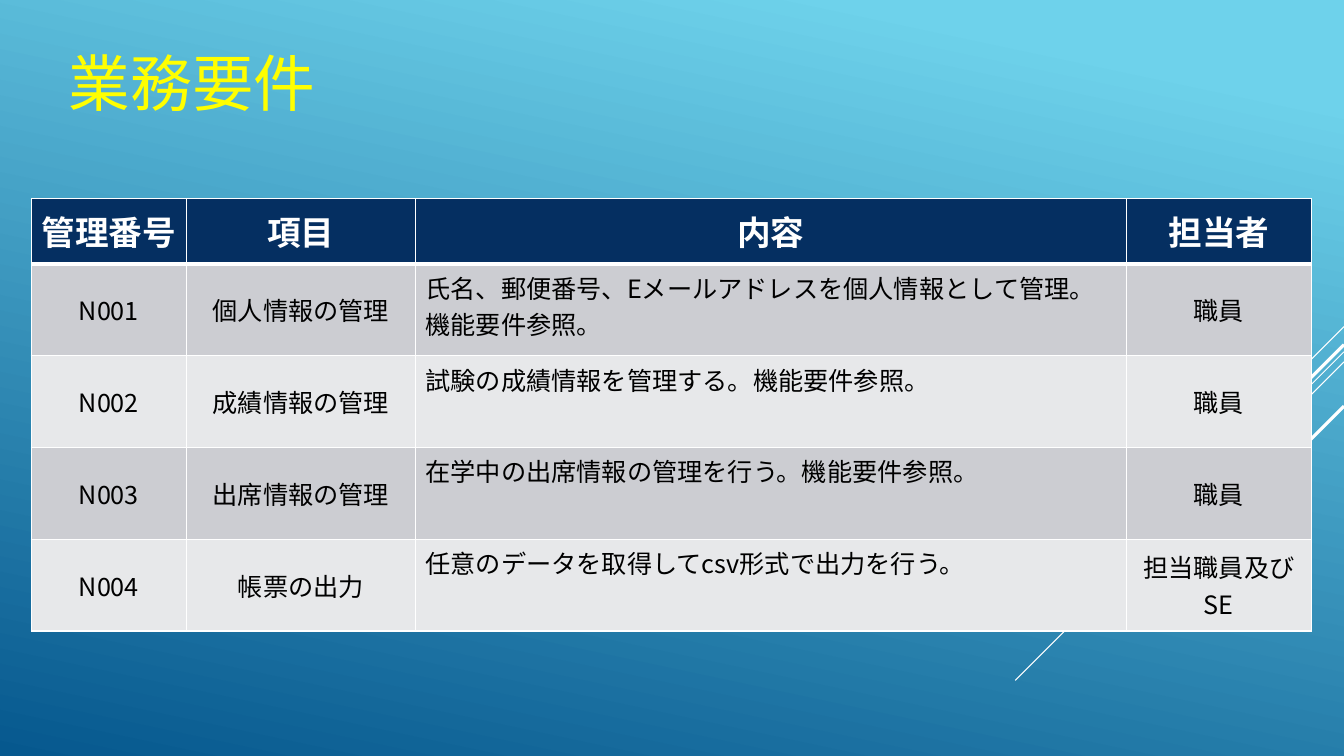
import pptx
import pptx.dml.color
import pptx.enum.shapes
import pptx.enum.text
import pptx.oxml
import pptx.oxml.ns
import pptx.util

RGBColor = pptx.dml.color.RGBColor
WHITE = RGBColor(0xFF, 0xFF, 0xFF)
BLACK = RGBColor(0x00, 0x00, 0x00)
YELLOW = RGBColor(0xFF, 0xFF, 0x00)
SKY = RGBColor(0x6E, 0xD2, 0xEB)
OCEAN = RGBColor(0x06, 0x58, 0x8E)
NAVY = RGBColor(0x05, 0x2F, 0x61)
BANDS = (RGBColor(0xCC, 0xCD, 0xD2), RGBColor(0xE7, 0xE8, 0xEA))

JAPANESE_FONT = "Noto Sans CJK JP"
HEADER_FONT = "TeX Gyre Adventor"
WIDTH, HEIGHT = pptx.util.Inches(13.33), pptx.util.Inches(7.5)
CENTER = pptx.enum.text.PP_ALIGN.CENTER
LEFT = pptx.enum.text.PP_ALIGN.LEFT
MIDDLE = pptx.enum.text.MSO_ANCHOR.MIDDLE
TOP = pptx.enum.text.MSO_ANCHOR.TOP

# Each ray falls at 45 degrees from the right edge: start height, run, weight
RAYS = ((3.24, 1, 0.75), (3.49, 3.26, 0.75), (3.59, 2.07, 0.75),
        (3.42, 1.91, 2.25), (4.03, 1.39, 2.25))

COLUMN_WIDTHS = (1.54, 2.27, 7.05, 1.84)
HEADER_HEIGHT, ROW_HEIGHT = 0.65, 0.91
CONTENT_COLUMN = 2
REQUIREMENTS = (
    ("管理番号", "項目", "内容", "担当者"),
    ("N001", "個人情報の管理",
     "氏名、郵便番号、Eメールアドレスを個人情報として管理。\n機能要件参照。", "職員"),
    ("N002", "成績情報の管理", "試験の成績情報を管理する。機能要件参照。", "職員"),
    ("N003", "出席情報の管理", "在学中の出席情報の管理を行う。機能要件参照。", "職員"),
    ("N004", "帳票の出力", "任意のデータを取得してcsv形式で出力を行う。", "担当職員及びSE"),
)


def format_text(frame, size, color, align, latin=JAPANESE_FONT, bold=False):
    for paragraph in frame.paragraphs:
        paragraph.alignment = align
        font = paragraph.font
        font.size, font.bold, font.name = pptx.util.Pt(size), bold, latin
        font.color.rgb = color
        east_asian = pptx.oxml.parse_xml(
            f'<a:ea {pptx.oxml.ns.nsdecls("a")} typeface="{JAPANESE_FONT}"/>')
        paragraph._p.pPr.find(".//" + pptx.oxml.ns.qn("a:latin")).addnext(east_asian)


def paint_background(slide):
    fill = slide.background.fill
    fill.gradient()
    fill.gradient_angle = 360 - 102
    for stop, position, color in zip(fill.gradient_stops, (0.1, 1), (SKY, OCEAN)):
        stop.position = position
        stop.color.rgb = color


def add_ray(slide, start, run, weight):
    top, reach = pptx.util.Inches(start), pptx.util.Inches(run)
    ray = slide.shapes.add_connector(
        pptx.enum.shapes.MSO_CONNECTOR.STRAIGHT,
        WIDTH, top, WIDTH - reach, top + reach)
    ray.line.color.rgb = WHITE
    ray.line.width = pptx.util.Pt(weight)
    ray._element.spPr.append(pptx.oxml.parse_xml(
        f'<a:effectLst {pptx.oxml.ns.nsdecls("a")}/>'))


def place_title(slide, text):
    title = slide.shapes.title
    title.left, title.top = int(WIDTH * 0.037), int(HEIGHT * 0.052)
    title.width, title.height = int(WIDTH * 0.212), int(HEIGHT * 0.112)
    title.text_frame.text = text
    title.text_frame.vertical_anchor = pptx.enum.text.MSO_ANCHOR.BOTTOM
    format_text(title.text_frame, 44, YELLOW, CENTER)


def outline_cell(cell, top, bottom):
    """Draw white borders; top and bottom are widths in points."""
    properties = cell._tc.get_or_add_tcPr()
    for side, points in (("L", 1), ("R", 1), ("T", top), ("B", bottom)):
        properties.append(pptx.oxml.parse_xml(
            f'<a:ln{side} {pptx.oxml.ns.nsdecls("a")} w="{pptx.util.Pt(points)}">'
            f'<a:solidFill><a:srgbClr val="{WHITE}"/></a:solidFill></a:ln{side}>'))


def fill_cell(cell, text, row, column):
    is_header = row == 0
    is_content = column == CONTENT_COLUMN and not is_header
    cell.text = text
    cell.vertical_anchor = TOP if is_content else MIDDLE
    outline_cell(cell, 3 if row == 1 else 1, 3 if is_header else 1)
    cell.fill.solid()
    cell.fill.fore_color.rgb = NAVY if is_header else BANDS[(row - 1) % 2]
    if is_header:
        format_text(cell.text_frame, 24, WHITE, CENTER, HEADER_FONT, bold=True)
    else:
        format_text(cell.text_frame, 18, BLACK, LEFT if is_content else CENTER)


def add_requirements_table(slide):
    row_heights = [HEADER_HEIGHT] + [ROW_HEIGHT] * (len(REQUIREMENTS) - 1)
    table = slide.shapes.add_table(
        len(row_heights), len(COLUMN_WIDTHS),
        pptx.util.Inches(0.31), pptx.util.Inches(1.97),
        pptx.util.Inches(sum(COLUMN_WIDTHS)),
        pptx.util.Inches(sum(row_heights))).table
    for column, width in zip(table.columns, COLUMN_WIDTHS):
        column.width = pptx.util.Inches(width)
    for row, height in zip(table.rows, row_heights):
        row.height = pptx.util.Inches(height)
    for row, texts in enumerate(REQUIREMENTS):
        for column, text in enumerate(texts):
            fill_cell(table.cell(row, column), text, row, column)


def main():
    presentation = pptx.Presentation()
    presentation.slide_width, presentation.slide_height = WIDTH, HEIGHT
    title_only = presentation.slide_layouts[5]
    slide = presentation.slides.add_slide(title_only)
    paint_background(slide)
    for ray in RAYS:
        add_ray(slide, *ray)
    place_title(slide, "業務要件")
    add_requirements_table(slide)
    presentation.save("out.pptx")


if __name__ == "__main__":
    main()
